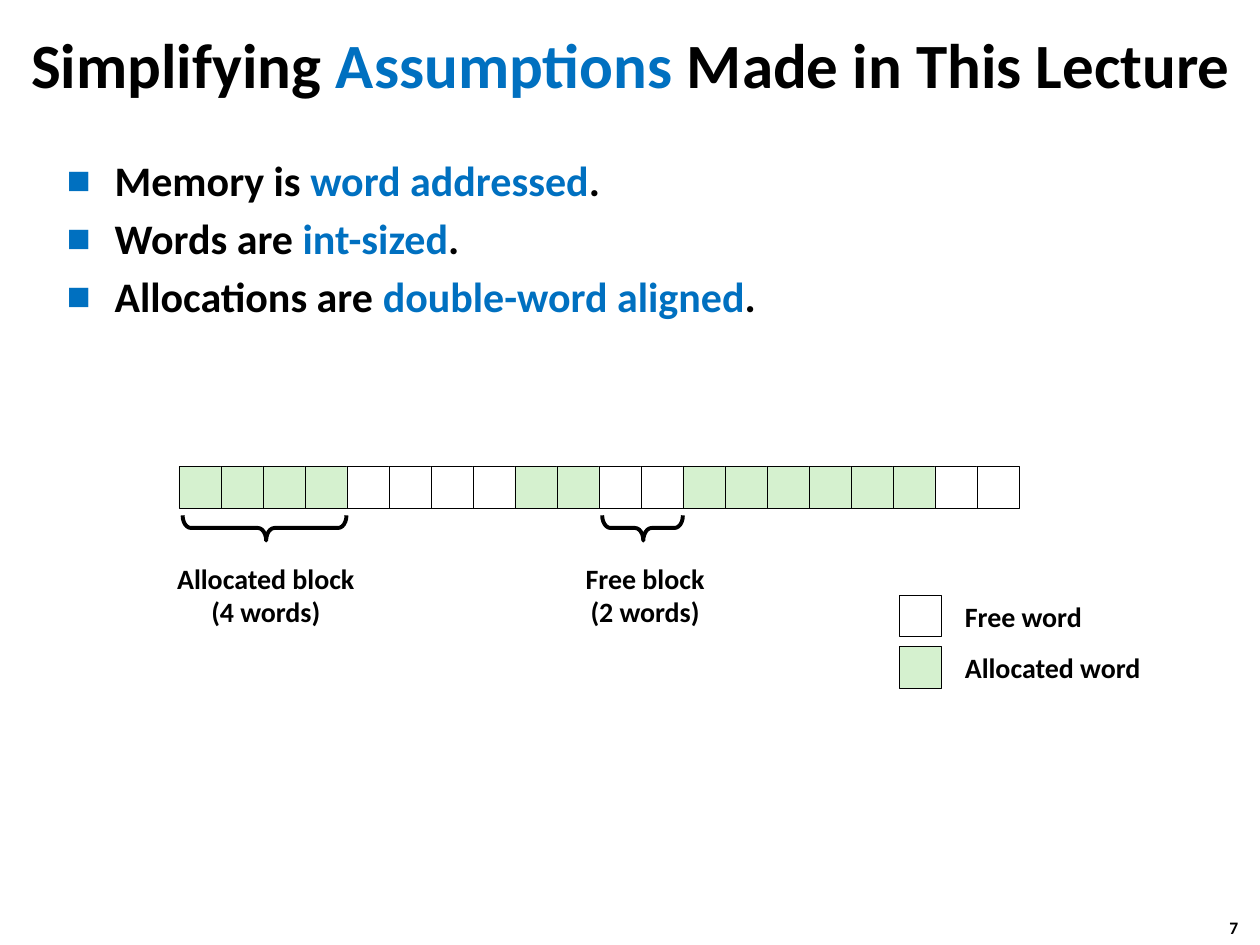
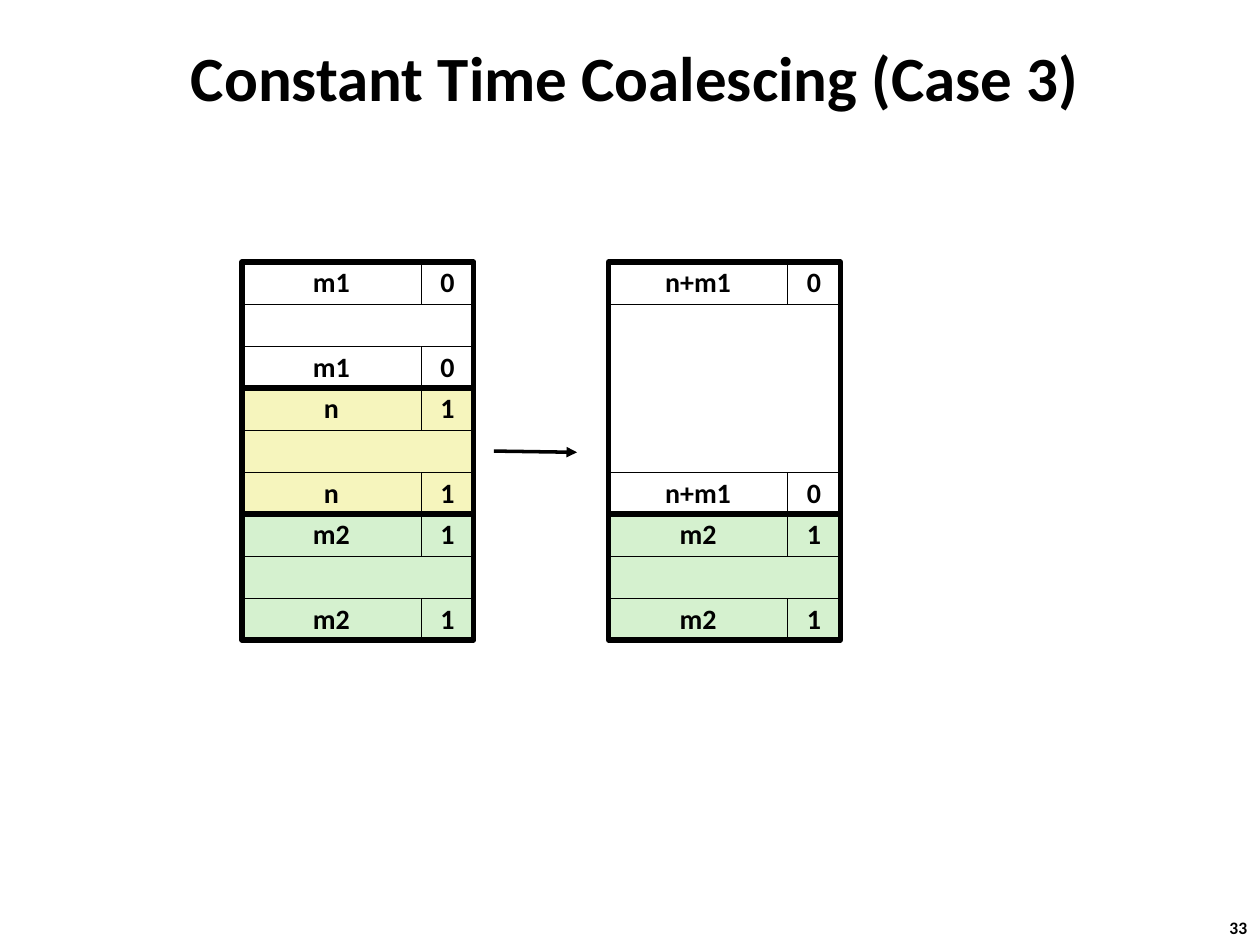
from lxml import etree
from pptx import Presentation
from pptx.dml.color import RGBColor
from pptx.enum.shapes import MSO_CONNECTOR, MSO_SHAPE
from pptx.enum.text import MSO_ANCHOR, MSO_AUTO_SIZE, PP_ALIGN
from pptx.oxml.ns import qn
from pptx.util import Inches, Pt

RECT, BRACE = MSO_SHAPE.RECTANGLE, MSO_SHAPE.LEFT_BRACE
STRAIGHT = MSO_CONNECTOR.STRAIGHT
LEFT, CENTER = PP_ALIGN.LEFT, PP_ALIGN.CENTER
MIDDLE, FIXED = MSO_ANCHOR.MIDDLE, MSO_AUTO_SIZE.NONE

FONT = "Calibri"
HUES = {"black": "000000", "blue": "0070C0", "free": "FFFFFF",
        "used": "D5F1CF", "fresh": "F6F5BD"}
WORD = 1 / 3  # side of one memory word, in inches


def write(frame, lines, size, align=LEFT, wrap=False, space=0.98):
    """Fill a frame; each line is a list of (text, hue) runs."""
    frame.auto_size = FIXED
    frame.word_wrap = wrap
    for i, line in enumerate(lines):
        para = frame.paragraphs[0] if i == 0 else frame.add_paragraph()
        para.alignment = align
        para.line_spacing = space
        for text, hue in line:
            run = para.add_run()
            run.text = text
            run.font.name = FONT
            run.font.size = Pt(size)
            run.font.bold = True
            run.font.color.rgb = RGBColor.from_string(HUES[hue])


def draw(slide, x, y, w, h, fill=None, weight=0.25, text="", kind=RECT):
    """Add an outlined shape, filled and labelled if asked."""
    shape = slide.shapes.add_shape(kind, Inches(x), Inches(y), Inches(w), Inches(h))
    shape.shadow.inherit = False
    if fill:
        shape.fill.solid()
        shape.fill.fore_color.rgb = RGBColor.from_string(HUES[fill])
    else:
        shape.fill.background()
    shape.line.color.rgb = RGBColor.from_string(HUES["black"])
    shape.line.width = Pt(weight)
    if text:
        shape.text_frame.vertical_anchor = MIDDLE
        write(shape.text_frame, [[(text, "black")]], 16, CENTER)
    return shape


deck = Presentation()
deck.slide_width, deck.slide_height = Inches(10), Inches(7.5)

# Titles and page numbers
heads = [
    (1, "7", (0.09, 0.09, 9.83, 0.83),
     [("Simplifying ", "black"), ("Assumptions", "blue"),
      (" Made in This Lecture", "black")]),
    (5, "33", (0.5, 0.29, 9.08, 0.63),
     [("Constant Time Coalescing (Case 3)", "black")]),
]
for layout, page, spot, runs in heads:
    slide = deck.slides.add_slide(deck.slide_layouts[layout])
    title = slide.shapes.title
    title.left, title.top, title.width, title.height = map(Inches, spot)
    title.text_frame.vertical_anchor = MIDDLE
    write(title.text_frame, [runs], 36, CENTER, True, 1.0)
    note = slide.shapes.add_textbox(Inches(9.66), Inches(7.23), Inches(0.37), Inches(0.27))
    write(note.text_frame, [[(page, "black")]], 10, space=1.0)
first, second = deck.slides

# Slide 1: bullet list
body = first.placeholders[1]
body.left, body.top, body.width, body.height = map(Inches, (0.43, 1.18, 9.15, 5.74))
facts = [("Memory is ", "word addressed"), ("Words are", " int-sized"),
         ("Allocations are ", "double-word aligned")]
lines = [[(lead, "black"), (key, "blue"), (".", "black")] for lead, key in facts]
write(body.text_frame, lines, 24, wrap=True, space=1.0)
for i, para in enumerate(body.text_frame.paragraphs):
    props = para._p.get_or_add_pPr()
    props.set("marL", str(Inches(0.38)))
    props.set("indent", str(-Inches(0.38)))
    tint = etree.SubElement(props, qn("a:buClr"))
    etree.SubElement(tint, qn("a:srgbClr"), val=HUES["blue"])
    etree.SubElement(props, qn("a:buSzPct"), val="60000")
    etree.SubElement(props, qn("a:buFont"), typeface=FONT)
    etree.SubElement(props, qn("a:buChar"), char="■")
    para.space_before = Pt(4.2 if i else 0)

# Slide 1: row of memory words
runs = [(4, "used"), (4, "free"), (2, "used"), (2, "free"), (6, "used"), (2, "free")]
words = [fill for count, fill in runs for _ in range(count)]
for i, fill in enumerate(words):
    draw(first, 1.42 + i * WORD, 3.7, WORD, WORD, fill)

# Slide 1: braces, turned to point down
for x, y, h in [(2, 3.54, 1.3), (5, 3.87, 0.64)]:
    brace = draw(first, x, y, 0.2, h, weight=2.25, kind=BRACE)
    brace.rotation = 270
    brace.adjustments[0] = 0.33
    brace.adjustments[1] = 0.51

# Slide 1: key and labels
for y, fill in [(4.72, "free"), (5.13, "used")]:
    draw(first, 7.14, y, WORD, WORD, fill)
labels = [
    (1.3, 4.42, 1.62, 0.63, CENTER, ["Allocated block", "(4 words)"]),
    (4.52, 4.42, 1.2, 0.63, CENTER, ["Free block", "(2 words)"]),
    (7.56, 4.72, 1.14, 0.37, LEFT, ["Free word"]),
    (7.56, 5.13, 1.61, 0.37, LEFT, ["Allocated word"]),
]
for x, y, w, h, align, texts in labels:
    label = first.shapes.add_textbox(Inches(x), Inches(y), Inches(w), Inches(h))
    write(label.text_frame, [[(text, "black")] for text in texts], 16, align)

# Slide 2: heap before and after; a block is size, flag, rows, fill
SIZE, FLAG = 1.42, 0.42
heaps = [
    (1.92, [("m1", "0", 3, "free"), ("n", "1", 3, "fresh"), ("m2", "1", 3, "used")]),
    (4.83, [("n+m1", "0", 6, "free"), ("m2", "1", 3, "used")]),
]
for x, blocks in heaps:
    y = 2.08
    for size, flag, rows, fill in blocks:
        tall = rows * WORD
        draw(second, x, y + WORD, SIZE + FLAG, tall - 2 * WORD, fill)
        for edge in (y, y + tall - WORD):
            draw(second, x, edge, SIZE, WORD, fill, text=size)
            draw(second, x + SIZE, edge, FLAG, WORD, fill, text=flag)
        draw(second, x, y, SIZE + FLAG, tall, weight=3)
        y += tall

# Slide 2: arrow between the heaps
arrow = second.shapes.add_connector(
    STRAIGHT, Inches(3.92), Inches(3.58), Inches(4.58), Inches(3.59))
arrow.line.color.rgb = RGBColor.from_string(HUES["black"])
arrow.line.width = Pt(2)
etree.SubElement(arrow.line._get_or_add_ln(), qn("a:tailEnd"), type="triangle")
etree.SubElement(arrow._element.spPr, qn("a:effectLst"))

deck.save("out.pptx")
